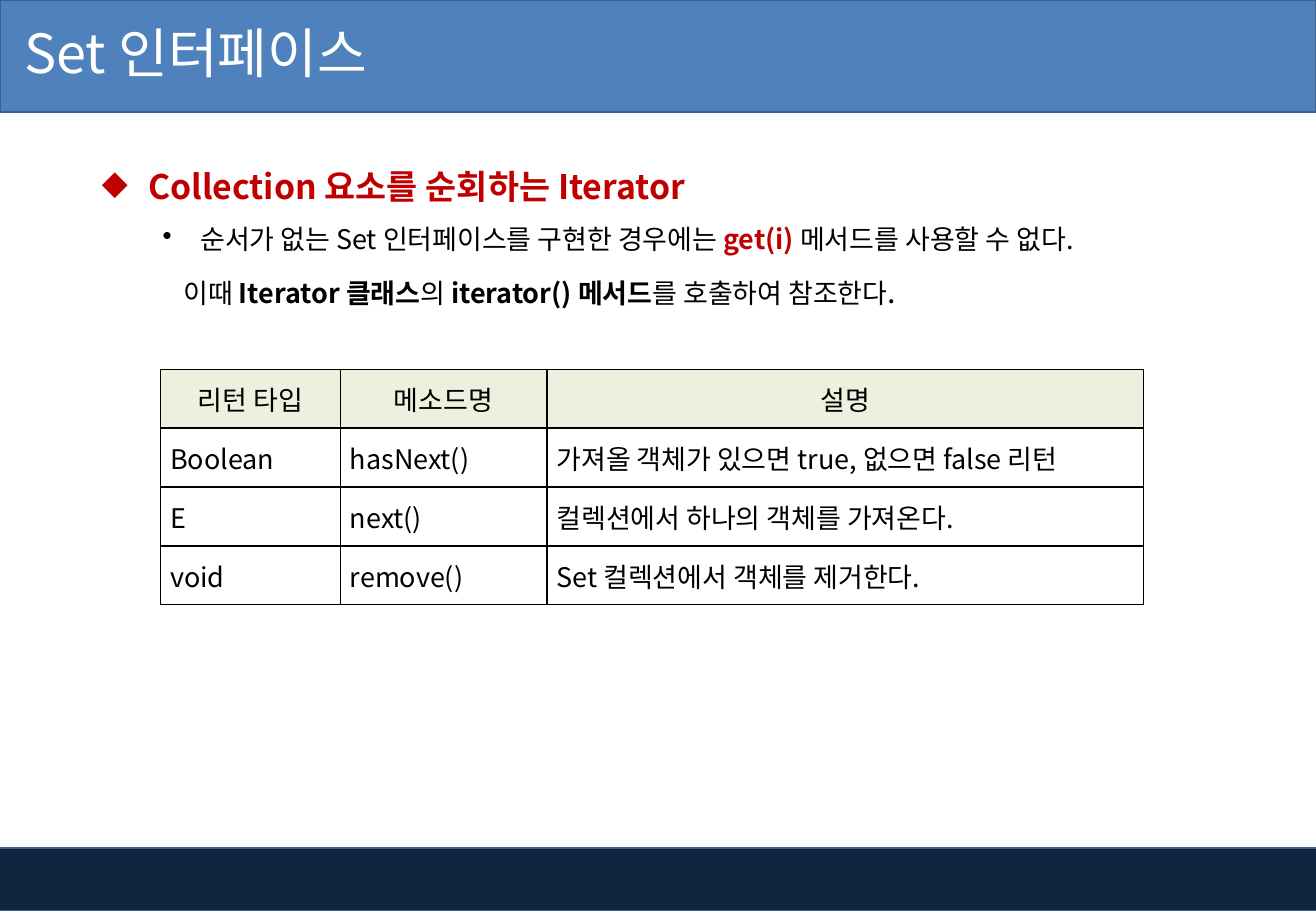
from dataclasses import dataclass

from lxml import etree
from pptx import Presentation
from pptx.dml.color import RGBColor
from pptx.enum.shapes import MSO_SHAPE
from pptx.enum.text import MSO_ANCHOR, PP_ALIGN
from pptx.oxml.ns import qn
from pptx.util import Pt

EMU_PER_PX = 9144
FONT = "Noto Sans CJK KR"
WHITE = RGBColor(0xFF, 0xFF, 0xFF)
BLACK = RGBColor(0, 0, 0)
RED = RGBColor(0xC0, 0, 0)
BLUE = RGBColor(0x4F, 0x81, 0xBD)
NAVY = RGBColor(0x0F, 0x24, 0x3E)
EDGE = RGBColor(0x3A, 0x5F, 0x8C)
PALE_GREEN = RGBColor(0xEB, 0xF1, 0xDE)
RECT = MSO_SHAPE.RECTANGLE
MIDDLE = MSO_ANCHOR.MIDDLE
CENTER = PP_ALIGN.CENTER
LEFT = PP_ALIGN.LEFT


@dataclass(frozen=True)
class Box:
    left: int
    top: int
    width: int
    height: int


@dataclass(frozen=True)
class Band:
    box: Box
    fill: RGBColor


@dataclass(frozen=True)
class Run:
    text: str
    size: int = 16
    color: RGBColor = BLACK
    bold: bool = False


@dataclass(frozen=True)
class Para:
    runs: tuple[Run, ...]
    level: int = 0
    margin: int = 0
    indent: int = 0
    bullet: str = ""
    spacing: float = 1.0


BANDS = (
    Band(Box(-4, 698, 1088, 52), NAVY),
    Band(Box(0, 0, 1083, 92), BLUE),
)
TITLE = (Para((Run("Set 인터페이스", 32, WHITE),)),)
BODY = (
    Para((Run("Collection 요소를 순회하는 Iterator", 20, RED, True),),
         0, 38, -38, "◆", 1.5),
    Para((Run("순서가 없는 Set 인터페이스를 구현한 경우에는 "),
          Run("get(i) ", color=RED, bold=True),
          Run("메서드를 사용할 수 없다.")),
         1, 81, -31, "•", 1.5),
    Para((Run("이때 "),
          Run("Iterator 클래스", bold=True),
          Run("의 "),
          Run("iterator() 메서드", bold=True),
          Run("를 호출하여 참조한다"),
          Run(".", 18)),
         1, 67, spacing=1.5),
)
COLUMNS = (148, 170, 491)
ROWS = (
    ("리턴 타입", "메소드명", "설명"),
    ("Boolean", "hasNext()", "가져올 객체가 있으면 true, 없으면 false 리턴"),
    ("E", "next()", "컬렉션에서 하나의 객체를 가져온다."),
    ("void", "remove()", "Set 컬렉션에서 객체를 제거한다."),
)


def px(n: int) -> int:
    return n * EMU_PER_PX


def place(box: Box) -> tuple[int, ...]:
    return px(box.left), px(box.top), px(box.width), px(box.height)


def style_run(r, run: Run) -> None:
    r.font.size = Pt(run.size)
    r.font.bold = run.bold
    r.font.color.rgb = run.color
    r.font.name = FONT
    ea = etree.SubElement(r.font._element, qn("a:ea"))
    ea.set("typeface", FONT)


def add_band(s, band: Band) -> None:
    sp = s.shapes.add_shape(RECT, *place(band.box))
    sp.shadow.inherit = False
    sp.fill.solid()
    sp.fill.fore_color.rgb = band.fill
    sp.line.color.rgb = EDGE
    sp.line.width = Pt(1)


def add_text(s, box: Box, paras: tuple[Para, ...], inset: int = 10) -> None:
    tf = s.shapes.add_textbox(*place(box)).text_frame
    tf.word_wrap = True
    tf.margin_left = px(inset)
    for i, para in enumerate(paras):
        p = tf.add_paragraph() if i else tf.paragraphs[0]
        p.level = para.level
        p.line_spacing = para.spacing
        pPr = p._p.get_or_add_pPr()
        pPr.set("marL", str(px(para.margin)))
        pPr.set("indent", str(px(para.indent)))
        if para.bullet:
            etree.SubElement(pPr, qn("a:buChar")).set("char", para.bullet)
        for run in para.runs:
            r = p.add_run()
            r.text = run.text
            style_run(r, run)


def add_borders(cell) -> None:
    tcPr = cell._tc.get_or_add_tcPr()
    for side in ("lnL", "lnR", "lnT", "lnB"):
        ln = etree.SubElement(tcPr, qn(f"a:{side}"), w=str(Pt(1)))
        fill = etree.SubElement(ln, qn("a:solidFill"))
        etree.SubElement(fill, qn("a:srgbClr"), val=str(BLACK))


def fill_cell(cell, text: str, header: bool) -> None:
    add_borders(cell)
    if header:
        cell.fill.solid()
        cell.fill.fore_color.rgb = PALE_GREEN
    else:
        cell.fill.background()
    cell.vertical_anchor = MIDDLE
    cell.margin_left = cell.margin_right = px(8)
    cell.margin_top = cell.margin_bottom = px(4)
    p = cell.text_frame.paragraphs[0]
    p.text = text
    p.alignment = CENTER if header else LEFT
    style_run(p.runs[0], Run(text))


def add_method_table(s, box: Box) -> None:
    table = s.shapes.add_table(len(ROWS), len(COLUMNS), *place(box)).table
    table.first_row = False
    table.horz_banding = False
    for column, width in zip(table.columns, COLUMNS):
        column.width = px(width)
    for i, texts in enumerate(ROWS):
        for j, text in enumerate(texts):
            fill_cell(table.cell(i, j), text, i == 0)


def main() -> None:
    prs = Presentation()
    prs.slide_width = px(1083)
    prs.slide_height = px(750)
    s = prs.slides.add_slide(prs.slide_layouts[6])
    for band in BANDS:
        add_band(s, band)
    add_text(s, Box(0, 11, 678, 94), TITLE, 20)
    add_text(s, Box(74, 115, 995, 146), BODY)
    add_method_table(s, Box(132, 304, sum(COLUMNS), 194))
    prs.save("out.pptx")


if __name__ == "__main__":
    main()
